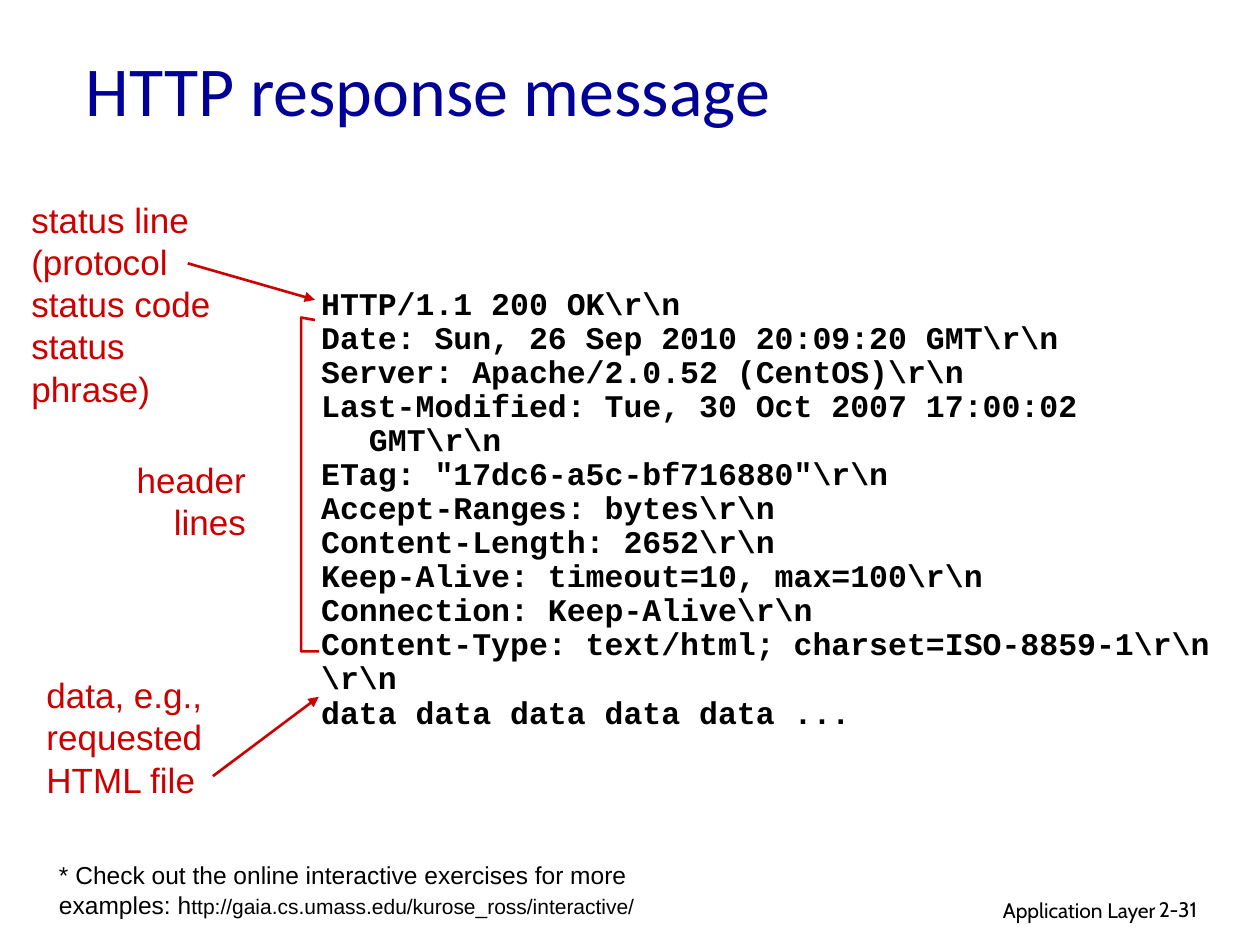
from dataclasses import dataclass

from lxml import etree
from pptx import Presentation
from pptx.dml.color import RGBColor
from pptx.enum.shapes import MSO_CONNECTOR as Connector
from pptx.enum.text import MSO_ANCHOR as Anchor, MSO_AUTO_SIZE as AutoSize, PP_ALIGN as Align
from pptx.oxml.ns import qn
from pptx.util import Inches, Pt


@dataclass(frozen=True)
class Theme:
    blue: RGBColor = RGBColor(0x00, 0x00, 0x99)
    red: RGBColor = RGBColor(0xCC, 0x00, 0x00)
    black: RGBColor = RGBColor(0x00, 0x00, 0x00)
    title_size: int = 40
    label_size: int = 20
    code_size: int = 18
    note_size: int = 14
    small_size: int = 12
    line_width: float = 1.5


theme = Theme()


def style_text(frame, font_name, size, color, align=Align.LEFT, bold=False):
    frame.word_wrap = True
    for para in frame.paragraphs:
        para.alignment = align
        for span in para.runs:
            span.font.name = font_name
            span.font.size = Pt(size)
            span.font.bold = bold
            span.font.color.rgb = color


def add_text(page, place, text, *style):
    box = page.shapes.add_textbox(*map(Inches, place))
    box.text_frame.text = text
    style_text(box.text_frame, *style)
    return box.text_frame


deck = Presentation()
deck.slide_width, deck.slide_height = Inches(10), Inches(7.5)
page = deck.slides.add_slide(deck.slide_layouts[5])

# Title
title = page.shapes.title
title.left, title.top, title.width, title.height = map(Inches, (0.58, 0.17, 8.5, 1.07))
title.text_frame.text = "HTTP response message"
title.text_frame.vertical_anchor = Anchor.MIDDLE
title.text_frame.auto_size = AutoSize.NONE
style_text(title.text_frame, "Calibri", theme.title_size, theme.blue)

# Footer and page number
add_text(page, (6.1, 7.07, 3.17, 0.31), "Application Layer",
         "Cabin", theme.small_size, theme.black, Align.RIGHT)
add_text(page, (9.1, 7.07, 0.74, 0.3), "2-31", "Cabin", theme.small_size, theme.black)

# Labels for the parts of the message
labels = [
    ((0.15, 1.53, 1.85, 1.77), "status line\n(protocol\nstatus code\nstatus phrase)", Align.LEFT),
    ((0.85, 3.59, 1.2, 0.77), "header\nlines", Align.RIGHT),
    ((0.27, 5.3, 1.51, 1.1), "data, e.g.,\nrequested\nHTML file", Align.LEFT),
]
for place, text, align in labels:
    add_text(page, place, text, "Arial", theme.label_size, theme.red, align)

# Arrows from the labels to the status line and the data
for ends in [(1.49, 2.09, 2.5, 2.38), (1.69, 6.16, 2.53, 5.53)]:
    arrow = page.shapes.add_connector(Connector.STRAIGHT, *map(Inches, ends))
    arrow.line.color.rgb = theme.red
    arrow.line.width = Pt(theme.line_width)
    etree.SubElement(arrow.line._get_or_add_ln(), qn("a:tailEnd"), type="triangle")
    etree.SubElement(arrow._element.spPr, qn("a:effectLst"))

# Bracket around the header lines
bracket_points = [(Inches(x), Inches(y))
                  for x, y in [(2.5, 2.54), (2.39, 2.52), (2.39, 5.17), (2.53, 5.17)]]
outline = page.shapes.build_freeform(*bracket_points[0])
outline.add_line_segments(bracket_points[1:], close=False)
bracket = outline.convert_to_shape()
bracket.shadow.inherit = False
bracket.fill.background()
bracket.line.color.rgb = theme.red
bracket.line.width = Pt(theme.line_width)

# Response message
message_lines = [
    r"HTTP/1.1 200 OK\r\n",
    r"Date: Sun, 26 Sep 2010 20:09:20 GMT\r\n",
    r"Server: Apache/2.0.52 (CentOS)\r\n",
    r"Last-Modified: Tue, 30 Oct 2007 17:00:02 GMT\r\n",
    r'ETag: "17dc6-a5c-bf716880"\r\n',
    r"Accept-Ranges: bytes\r\n",
    r"Content-Length: 2652\r\n",
    r"Keep-Alive: timeout=10, max=100\r\n",
    r"Connection: Keep-Alive\r\n",
    r"Content-Type: text/html; charset=ISO-8859-1\r\n",
    r"\r\n",
    "data data data data data ...",
]
message = add_text(page, (2.45, 2.24, 7.39, 3.37), "\n".join(message_lines),
                   "Courier New", theme.code_size, theme.black, Align.LEFT, True)
hanging = Inches(0.38)
for para in message.paragraphs:
    para.line_spacing = 0.9
    properties = para._p.get_or_add_pPr()
    properties.set("marL", str(hanging))
    properties.set("indent", str(-hanging))

# Footnote with a smaller web address
note = add_text(page, (0.37, 6.78, 4.93, 0.57),
                "* Check out the online interactive exercises for more examples: h",
                "Arial", theme.note_size, theme.black)
address = note.paragraphs[0].add_run()
address.text = "ttp://gaia.cs.umass.edu/kurose_ross/interactive/"
address.font.name = "Arial"
address.font.size = Pt(theme.small_size)
address.font.color.rgb = theme.black

deck.save("out.pptx")
